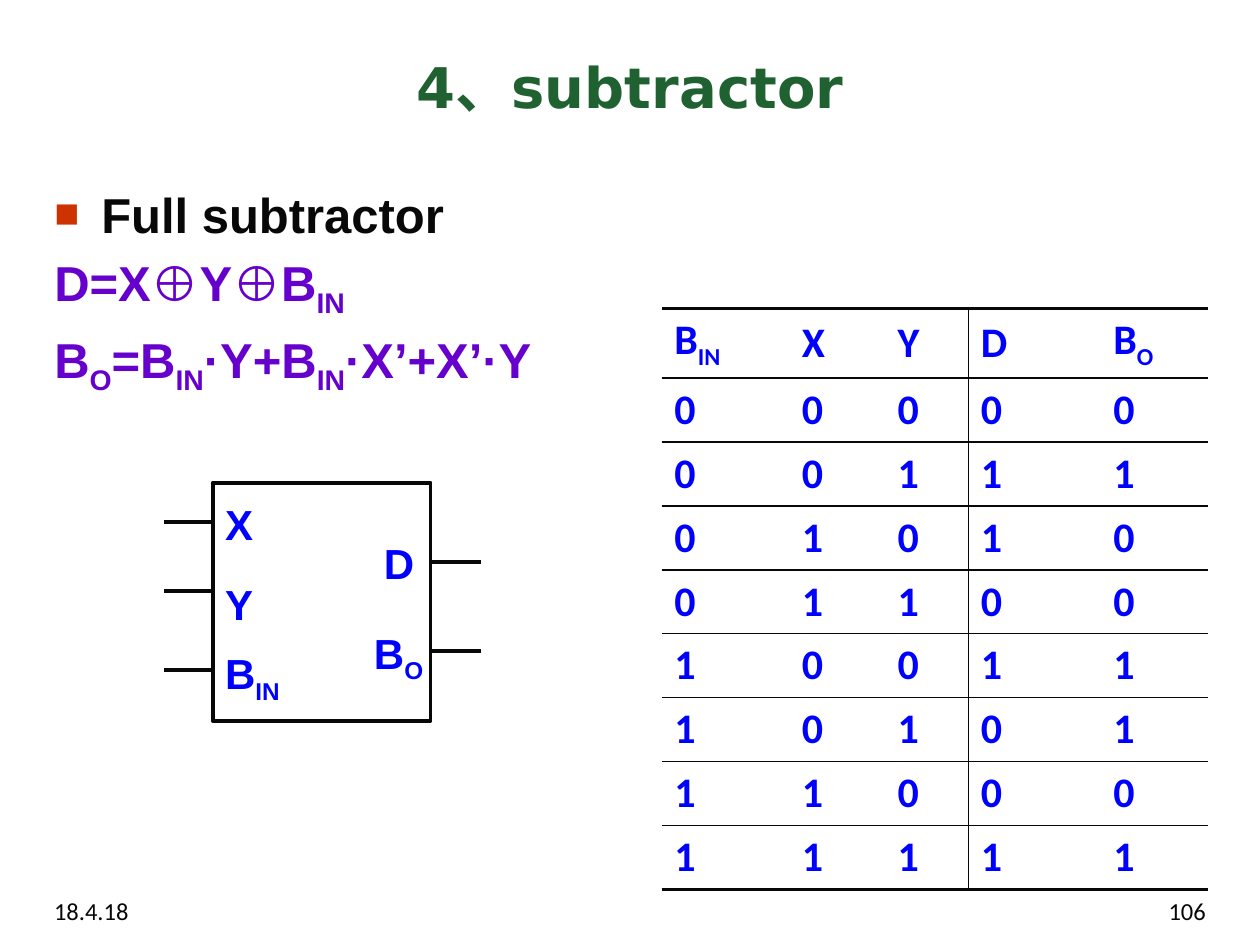
import itertools

import lxml.etree
import pptx
import pptx.dml.color
import pptx.enum.shapes
import pptx.enum.text
import pptx.oxml.ns
import pptx.util

Cm = pptx.util.Cm
Pt = pptx.util.Pt
RGBColor = pptx.dml.color.RGBColor
ALIGN = pptx.enum.text.PP_ALIGN
ANCHOR = pptx.enum.text.MSO_ANCHOR

INK = RGBColor(0x08, 0x08, 0x08)
GREEN = RGBColor(0x1F, 0x61, 0x30)
PURPLE = RGBColor(0x66, 0x00, 0xCC)
BLUE = RGBColor(0x00, 0x00, 0xFF)
RED = RGBColor(0xCC, 0x33, 0x00)

HANGING = Cm(0.95)
THIN, THICK = Pt(1), Pt(2.25)


def add_element(parent, tag, **attributes):
    element = lxml.etree.SubElement(parent, pptx.oxml.ns.qn(tag))
    for key, value in attributes.items():
        element.set(key, str(value))
    return element


def add_runs(paragraph, parts, font, size, color, bold=True):
    for index, part in enumerate(parts):
        run = paragraph.add_run()
        run.text = part
        run.font.name = font
        run.font.size = Pt(size)
        run.font.bold = bold
        run.font.color.rgb = color
        if index % 2:
            run._r.get_or_add_rPr().set("baseline", "-25000")


def place(shape, left, top, width, height):
    shape.left, shape.top = Cm(left), Cm(top)
    shape.width, shape.height = Cm(width), Cm(height)


def add_label(shapes, box, parts, font, size, color, bold=True, align=ALIGN.LEFT):
    label = shapes.add_textbox(*map(Cm, box))
    label.text_frame.word_wrap = True
    paragraph = label.text_frame.paragraphs[0]
    paragraph.alignment = align
    add_runs(paragraph, parts, font, size, color, bold)


def fill_title(title):
    place(title, 0.84, 0.64, 23.72, 2.18)
    title.text_frame.vertical_anchor = ANCHOR.MIDDLE
    paragraph = title.text_frame.paragraphs[0]
    paragraph.alignment = ALIGN.CENTER
    add_runs(paragraph, ["4、subtractor"], "DejaVu Sans", 32, GREEN)


def set_bullet(paragraph, bulleted):
    properties = paragraph._p.get_or_add_pPr()
    properties.set("marL", str(HANGING))
    properties.set("indent", str(-HANGING))
    if not bulleted:
        add_element(properties, "a:buNone")
        return
    add_element(add_element(properties, "a:buClr"), "a:srgbClr", val=RED)
    add_element(properties, "a:buSzPct", val=85000)
    add_element(properties, "a:buFont", typeface="Arial")
    add_element(properties, "a:buChar", char="■")


def fill_equations(body):
    place(body, 0.84, 3.43, 11.63, 13.51)
    frame = body.text_frame
    frame.auto_size = pptx.enum.text.MSO_AUTO_SIZE.NONE
    frame.margin_top = Cm(0.28)
    lines = [
        (["Full subtractor"], INK),
        (["D=X⊕Y⊕B", "IN"], PURPLE),
        (["B", "O", "=B", "IN", "·Y+B", "IN", "·X’+X’·Y"], PURPLE),
    ]
    for index, (parts, color) in enumerate(lines):
        paragraph = frame.add_paragraph() if index else frame.paragraphs[0]
        set_bullet(paragraph, index == 0)
        paragraph.space_before = Pt(5.6 if index else 0)
        add_runs(paragraph, parts, "Arial", 28, color)


def set_border(cell, tag, width):
    properties = cell._tc.get_or_add_tcPr()
    if not width:
        add_element(add_element(properties, tag, w=0), "a:noFill")
        return
    border = add_element(properties, tag, w=int(width))
    add_element(add_element(border, "a:solidFill"), "a:srgbClr", val=INK)


def truth_rows():
    yield [["B", "IN"], ["X"], ["Y"], ["D"], ["B", "O"]]
    for borrow, x, y in itertools.product((0, 1), repeat=3):
        difference = x ^ y ^ borrow
        borrow_out = borrow & y | borrow & (1 - x) | (1 - x) & y
        yield [[str(bit)] for bit in (borrow, x, y, difference, borrow_out)]


def add_truth_table(shapes):
    rows = list(truth_rows())
    widths = [2.57, 1.93, 1.68, 2.67, 2.16]
    table = shapes.add_table(
        len(rows), len(widths), Cm(13.34), Cm(6.22), Cm(sum(widths)), Cm(11.48)
    ).table
    for column, width in zip(table.columns, widths):
        column.width = Cm(width)
    for r, values in enumerate(rows):
        table.rows[r].height = Cm(1.17 if r else 1.22)
        for c, parts in enumerate(values):
            cell = table.cell(r, c)
            cell.vertical_anchor = ANCHOR.MIDDLE
            set_border(cell, "a:lnL", THIN if c == 3 else None)
            set_border(cell, "a:lnR", THIN if c == 2 else None)
            set_border(cell, "a:lnT", THIN if r else THICK)
            set_border(cell, "a:lnB", THICK if r == len(rows) - 1 else THIN)
            cell.fill.background()
            add_runs(cell.text_frame.paragraphs[0], parts, "Calibri", 24, BLUE)


def add_pin(shapes, left, y):
    pin = shapes.add_connector(
        pptx.enum.shapes.MSO_CONNECTOR.STRAIGHT, Cm(left + 0.99), Cm(y), Cm(left), Cm(y)
    )
    pin.line.color.rgb = INK
    pin.line.width = THICK
    add_element(pin._element.spPr, "a:effectLst")


def add_block_diagram(shapes):
    diagram = shapes.add_group_shape().shapes
    block = diagram.add_shape(
        pptx.enum.shapes.MSO_SHAPE.RECTANGLE, Cm(4.29), Cm(9.73), Cm(4.39), Cm(4.8)
    )
    block.shadow.inherit = False
    block.fill.background()
    block.line.color.rgb = INK
    block.line.width = THICK
    ports = [
        (["X"], 4.29, 9.93, 1.19),
        (["Y"], 4.29, 11.53, 1.19),
        (["B", "O"], 7.29, 12.52, 2.01),
        (["D"], 7.49, 10.72, 1.19),
        (["B", "IN"], 4.29, 12.93, 2.01),
    ]
    for parts, left, top, width in ports:
        add_label(diagram, (left, top, width, 1.27), parts, "Arial", 24, BLUE)
    for left, heights in ((3.3, (10.52, 11.91, 13.51)), (8.71, (13.13, 11.33))):
        for y in heights:
            add_pin(diagram, left, y)


def main():
    presentation = pptx.Presentation()
    presentation.slide_width, presentation.slide_height = Cm(25.4), Cm(19.05)
    slide = presentation.slides.add_slide(presentation.slide_layouts[1])
    shapes = slide.shapes
    fill_title(shapes.title)
    fill_equations(slide.placeholders[1])
    add_truth_table(shapes)
    add_block_diagram(shapes)
    add_label(shapes, (0.84, 17.93, 6.35, 0.74), ["18.4.18"], "Calibri", 14, INK, False)
    add_label(
        shapes, (18.21, 17.93, 6.35, 0.74), ["106"], "Calibri", 14, INK, False, ALIGN.RIGHT
    )
    presentation.save("out.pptx")


if __name__ == "__main__":
    main()
